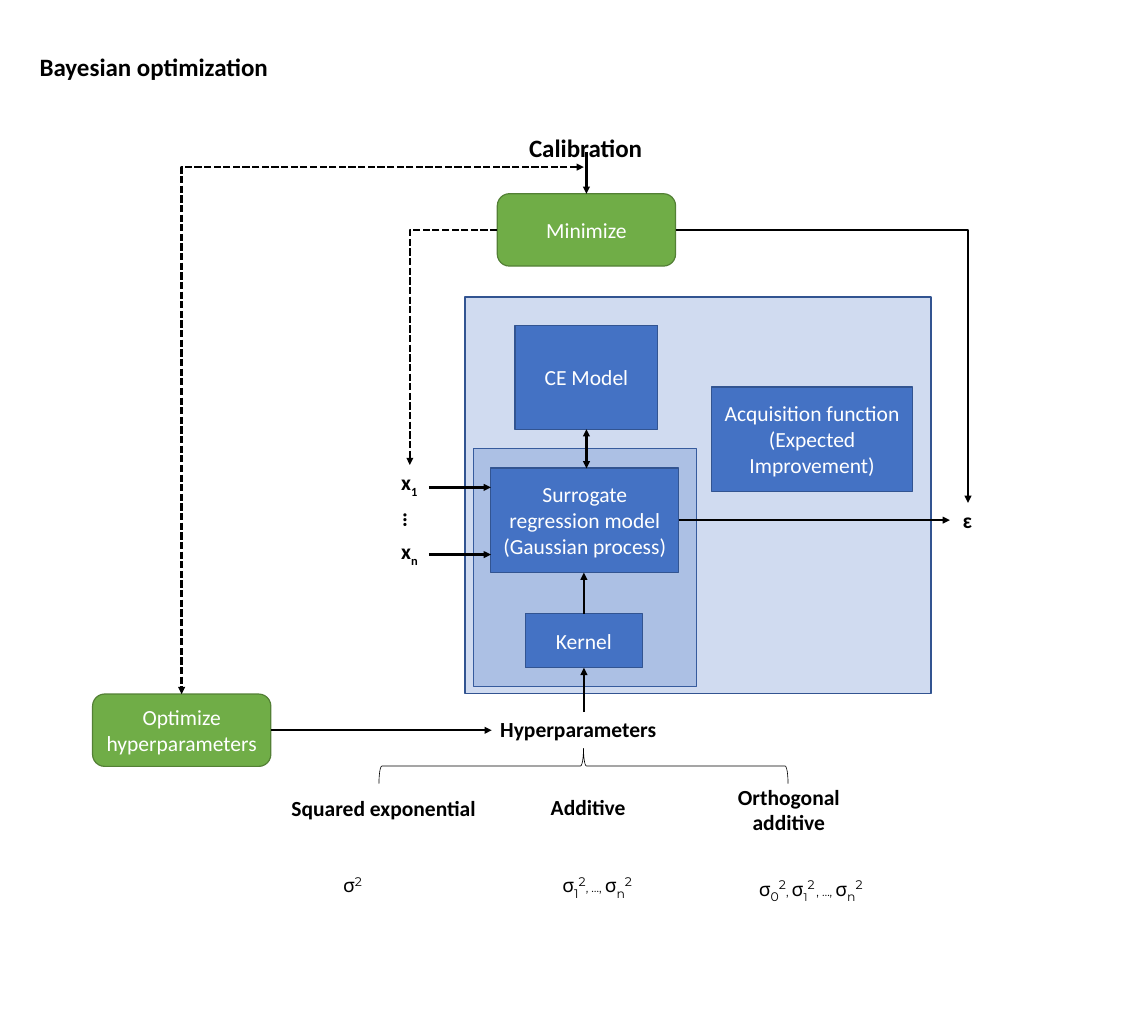
from pptx import Presentation, util as u
from pptx.dml.color import RGBColor
from pptx.enum import dml, shapes, text
from pptx.oxml.ns import qn
from lxml import etree

# Content: lengths are columns and rows of a one-inch grid
WIDE, HIGH = 13.33, 11.81
HEX = {"blue": "4472C4", "navy": "325491", "green": "70AD47",
       "moss": "538035", "ink": "000000", "white": "FFFFFF"}
SUB, SUP = -25, 30
RECT, ROUND = shapes.MSO_SHAPE.RECTANGLE, shapes.MSO_SHAPE.ROUNDED_RECTANGLE
MID, LEFT = text.PP_ALIGN.CENTER, text.PP_ALIGN.LEFT

# Panels: left, top, width, height
PANELS = [(5.5, 5.21, 2.59, 2.76), (5.4, 3.45, 5.41, 4.6)]

# Boxes: centre x, centre y, width, height, fill, line, kind, paragraphs
BLUE, GREEN = ("blue", "navy", RECT), ("green", "moss", ROUND)
BOXES = {
    "model": (6.81, 4.38, 1.66, 1.21, *BLUE, ["CE Model"]),
    "surrogate": (6.79, 6.04, 2.18, 1.21, *BLUE,
                  ["Surrogate regression model (Gaussian process)"]),
    "kernel": (6.78, 7.44, 1.36, 0.63, *BLUE, ["Kernel"]),
    "acquire": (9.43, 5.1, 2.33, 1.21, *BLUE,
                ["Acquisition function", "(Expected Improvement)"]),
    "minimize": (6.81, 2.67, 2.07, 0.84, *GREEN, ["Minimize"]),
    "optimize": (2.11, 8.48, 2.07, 0.84, *GREEN, ["Optimize hyperparameters"]),
}

# Labels: left, top, width, height, alignment, turn, bold runs
LABELS = [
    (4.56, 5.4, 0.41, 0.4, LEFT, 0, [("x", 18, 0), ("1", 18, SUB)]),
    (4.56, 6.2, 0.41, 0.4, LEFT, 0, [("x", 18, 0), ("n", 18, SUB)]),
    (4.58, 5.86, 0.41, 0.4, LEFT, 90, [("…", 18, 0)]),
    (11.03, 5.84, 0.41, 0.4, MID, 0, [("ɛ", 18, 0)]),
    (5.71, 8.27, 2.15, 0.4, LEFT, 0, [("Hyperparameters", 18, 0)]),
    (3.23, 9.18, 2.45, 0.4, MID, 0, [("Squared exponential", 18, 0)]),
    (6.25, 9.17, 1.16, 0.4, MID, 0, [("Additive", 18, 0)]),
    (8.46, 9.05, 1.4, 0.71, MID, 0, [("Orthogonal additive", 18, 0)]),
    (5.22, 1.16, 3.16, 0.5, MID, 0, [("Calibration", 36, SUB)]),
]
TITLE = (0.36, 0.21, 7.87, 0.5, [("Bayesian optimization", 36, SUB)])

# Formulas: left, top, width, runs
SIGMA, SQUARE, LAST = ("σ", 16, 0), ("2", 18, SUP), ("n", 18, SUB)
DOTS = (", …, ", 10, 0)
FORMULAS = [
    (3.73, 10.07, 0.73, [SIGMA, SQUARE]),
    (6.03, 10.07, 1.81,
     [SIGMA, ("1", 18, SUB), SQUARE, DOTS, SIGMA, LAST, SQUARE]),
    (8.51, 10.11, 1.81,
     [SIGMA, ("0", 18, SUB), SQUARE, (", ", 10, 0), SIGMA, ("1", 16, SUB),
      SQUARE, (" ", 10, SUP), DOTS, SIGMA, LAST, SQUARE]),
]
BRACE = (6.57, 6.52, 0.41, 4.75)


def edge(name, side):
    """Middle of one side of a box."""
    x, y, w, h = BOXES[name][:4]
    dx, dy = {"l": (-1, 0), "r": (1, 0), "t": (0, -1), "b": (0, 1)}[side]
    return x + dx * w / 2, y + dy * h / 2


# Links: from, to, bent, dashed, arrow at both ends
GATE = edge("surrogate", "l")[0]
LINKS = [
    ((4.98, 5.66), (GATE, 5.66), 0, 0, 0),
    ((4.98, 6.44), (GATE, 6.44), 0, 0, 0),
    (edge("surrogate", "r"), (11.03, 6.04), 0, 0, 0),
    ((6.78, 8.27), edge("kernel", "b"), 0, 0, 0),
    (edge("kernel", "t"), (6.78, 6.65), 0, 0, 0),
    (edge("model", "b"), (6.81, 5.44), 0, 0, 1),
    ((6.81, 1.77), edge("minimize", "t"), 0, 0, 0),
    (edge("optimize", "r"), (5.71, 8.48), 0, 0, 0),
    (edge("minimize", "r"), (11.24, 5.84), 1, 0, 0),
    (edge("minimize", "l"), (4.76, 5.4), 1, 1, 0),
    ((6.78, 1.94), edge("optimize", "t"), 1, 1, 1),
]

deck = Presentation()
deck.slide_width, deck.slide_height = u.Inches(WIDE), u.Inches(HIGH)
slide = deck.slides.add_slide(deck.slide_layouts[5])
tree = slide.shapes


def inch(*nums):
    return [u.Inches(n) for n in nums]


def tint(key):
    return RGBColor.from_string(HEX[key])


def write(frame, paras, align, color="ink", bold=False, face="Calibri"):
    frame.word_wrap = True
    for i, runs in enumerate(paras):
        para = frame.paragraphs[0] if i == 0 else frame.add_paragraph()
        para.alignment = align
        for words, size, base in runs:
            run = para.add_run()
            run.text = words
            font = run.font
            font.name, font.size, font.bold = face, u.Pt(size), bold
            font.color.rgb = tint(color)
            if base:
                run._r.get_or_add_rPr().set("baseline", str(base * 1000))


def block(kind, place, fill, line, weight=1):
    shape = tree.add_shape(kind, *inch(*place))
    shape.shadow.inherit = False
    if fill:
        shape.fill.solid()
        shape.fill.fore_color.rgb = tint(fill)
    else:
        shape.fill.background()
    shape.line.color.rgb = tint(line)
    shape.line.width = u.Pt(weight)
    return shape


def label(place, runs, align, turn=0, **style):
    box = tree.add_textbox(*inch(*place))
    box.rotation = turn
    write(box.text_frame, [runs], align, **style)


def link(start, end, bent, dashed, both):
    line = tree.add_connector(shapes.MSO_CONNECTOR.STRAIGHT,
                              *inch(*start, *end))
    line.line.color.rgb = tint("ink")
    line.line.width = u.Pt(2)
    if dashed:
        line.line.dash_style = dml.MSO_LINE.SQUARE_DOT
    props = line._element.spPr
    if bent:
        props.find(qn("a:prstGeom")).set("prst", "bentConnector2")
    for tag in ["headEnd"] * both + ["tailEnd"]:
        etree.SubElement(props.find(qn("a:ln")), qn("a:" + tag),
                         type="triangle")
    etree.SubElement(props, qn("a:effectLst"))


# Title
head = tree.title
head.left, head.top, head.width, head.height = inch(*TITLE[:4])
head.text_frame.vertical_anchor = text.MSO_ANCHOR.TOP
head.text_frame.auto_size = text.MSO_AUTO_SIZE.NONE
write(head.text_frame, [TITLE[4]], LEFT, bold=True)

# Panels
for place in PANELS:
    panel = block(RECT, place, "blue", "navy")
    shade = panel._element.spPr.find(qn("a:solidFill"))[0]
    etree.SubElement(shade, qn("a:alpha"), val="25000")

# Boxes
for x, y, w, h, fill, line, kind, paras in BOXES.values():
    box = block(kind, (x - w / 2, y - h / 2, w, h), fill, line)
    box.text_frame.vertical_anchor = text.MSO_ANCHOR.MIDDLE
    write(box.text_frame, [[(p, 18, 0)] for p in paras], MID, "white")

# Brace, labels and formulas
block(shapes.MSO_SHAPE.LEFT_BRACE, BRACE, None, "ink", 0.5).rotation = 90
for *place, align, turn, runs in LABELS:
    label(place, runs, align, turn, bold=True)
for *place, runs in FORMULAS:
    label((*place, 0.37), runs, MID, face="Montserrat")

# Arrows
for item in LINKS:
    link(*item)

deck.save("out.pptx")
